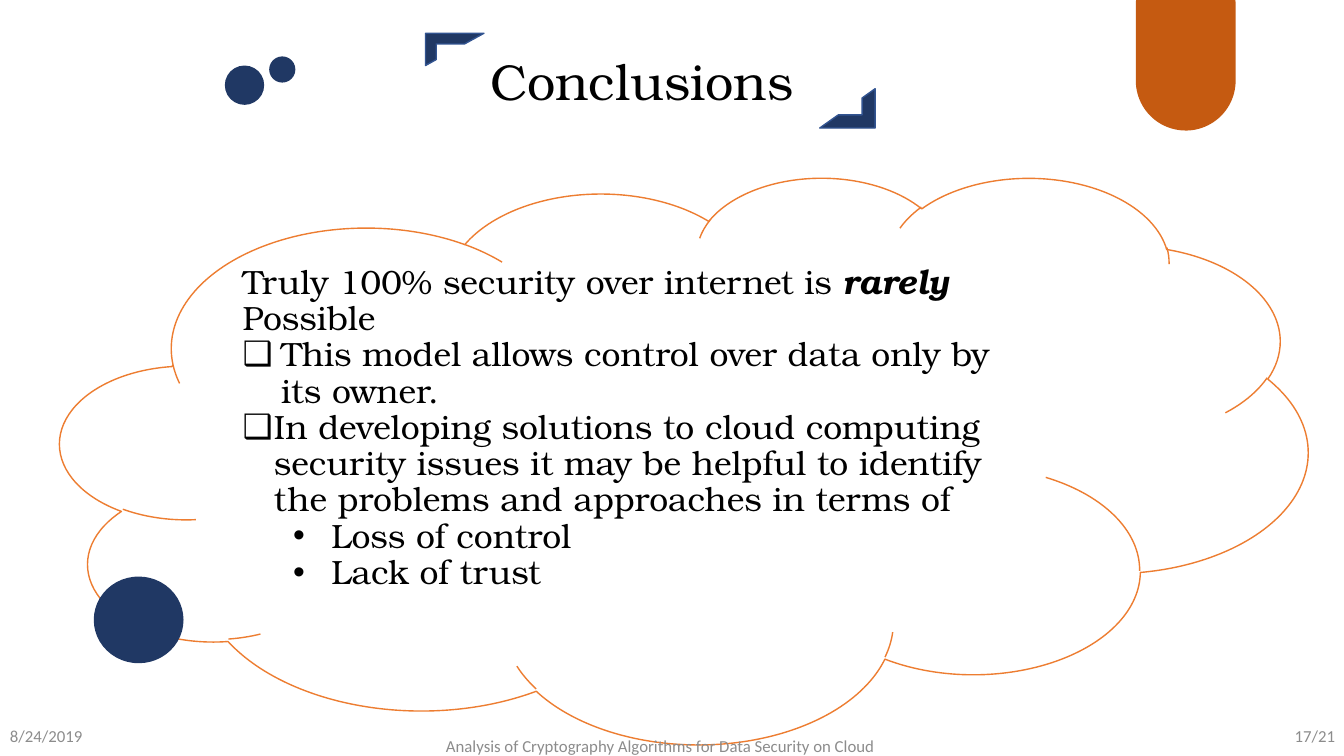
from lxml import etree
from pptx import Presentation
from pptx import util as u
from pptx.dml.color import RGBColor
from pptx.enum import shapes, text
from pptx.oxml.ns import qn

WIDTH, HEIGHT = 13.33, 7.5
SERIF, SANS = "TeX Gyre Bonum", "Calibri"
NAVY, NAVY_EDGE, ORANGE, RUST = "203864", "325491", "ED7D31", "C55A11"
BLACK, GREY, WHITE = "000000", "8C8C8C", "FFFFFF"
LEFT, CENTER, RIGHT = text.PP_ALIGN.LEFT, text.PP_ALIGN.CENTER, text.PP_ALIGN.RIGHT
KIND = shapes.MSO_SHAPE

TITLE = ("Conclusions", (2.87, 0.33, 6.99, 0.94))
CLOUD = (0.6, 1.75, 12.37, 5.62)
CLOUD_TEXT_SHARE = (0.138, 0.148, 0.653, 0.655)

POINTS = [
    (0, None, 0, 0, [("Truly 100% security over internet is ", False),
                     ("rarely", True), (" Possible", False)]),
    (0, "❑", 0.38, 0.38, [("This model allows control over data only by its owner.", False)]),
    (0, "❑", 0.31, 0.31, [("In developing solutions to cloud computing security issues "
                           "it may be helpful to identify the problems and approaches "
                           "in terms of", False)]),
    (1, "•", 0.88, 0.38, [("Loss of control", False)]),
    (1, "•", 0.88, 0.38, [("Lack of trust", False)]),
]

FOOTERS = [
    ("8/24/2019", (0, 7.1, 3, 0.4), LEFT),
    ("Analysis of Cryptography Algorithms for Data Security on Cloud",
     (1.67, 7.2, 9.76, 0.4), CENTER),
    ("17/21", (12.5, 7.1, 0.84, 0.4), RIGHT),
]

ORNAMENTS = [
    (KIND.HALF_FRAME, (4.22, 0.33, 0.58, 0.32), 0, NAVY, NAVY_EDGE),
    (KIND.HALF_FRAME, (8.13, 0.88, 0.55, 0.39), 180, NAVY, NAVY_EDGE),
    (KIND.OVAL, (0.93, 5.72, 0.89, 0.86), 0, NAVY, None),
]
BUBBLES = [(2.23, 0.65, 0.39, 0.39), (2.67, 0.56, 0.26, 0.26)]
RIBBON = (10.89, -0.07, 1.74, 0.99)


def color(value):
    return RGBColor.from_string(value)


def inches(box):
    return [u.Inches(length) for length in box]


def place(shape, box):
    shape.left, shape.top, shape.width, shape.height = inches(box)


def set_font(para, name, size, value):
    para.font.name, para.font.size = name, u.Pt(size)
    para.font.color.rgb = color(value)


def add_shape(parent, kind, box, fill, line=None, rotation=0):
    shape = parent.add_shape(kind, *inches(box))
    shape.shadow.inherit = False
    shape.rotation = rotation
    shape.fill.solid()
    shape.fill.fore_color.rgb = color(fill)
    if line:
        shape.line.color.rgb = color(line)
        shape.line.width = u.Pt(1)
    else:
        shape.line.fill.background()
    return shape


def set_bullet(para, mark, margin, hanging):
    props = para._p.get_or_add_pPr()
    props.set("marL", str(u.Inches(margin)))
    props.set("indent", str(-u.Inches(hanging)))
    if mark:
        font = etree.SubElement(props, qn("a:buFont"))
        font.set("typeface", "Arial")
        etree.SubElement(props, qn("a:buChar")).set("char", mark)
    else:
        etree.SubElement(props, qn("a:buNone"))


def fill_title(title):
    wording, box = TITLE
    place(title, box)
    frame = title.text_frame
    frame.text = wording
    frame.auto_size = text.MSO_AUTO_SIZE.NONE
    frame.vertical_anchor = text.MSO_ANCHOR.MIDDLE
    para = frame.paragraphs[0]
    para.alignment = CENTER
    set_font(para, SERIF, 36, BLACK)


def fill_body(body):
    left, top, width, height = CLOUD
    x, y, across, down = CLOUD_TEXT_SHARE
    place(body, (left + x * width, top + y * height, across * width, down * height))
    frame = body.text_frame
    frame.auto_size = text.MSO_AUTO_SIZE.NONE
    frame.vertical_anchor = text.MSO_ANCHOR.TOP
    for index, (level, mark, margin, hanging, spans) in enumerate(POINTS):
        para = frame.add_paragraph() if index else frame.paragraphs[0]
        para.level = level
        para.alignment = LEFT
        para.line_spacing = 0.9
        para.space_before = para.space_after = u.Pt(0)
        set_bullet(para, mark, margin, hanging)
        set_font(para, SERIF, 24, BLACK)
        for wording, strong in spans:
            span = para.add_run()
            span.text = wording
            if strong:
                span.font.bold = span.font.italic = True


def add_footer(page, wording, box, alignment):
    frame = page.shapes.add_textbox(*inches(box)).text_frame
    frame.word_wrap = True
    frame.vertical_anchor = text.MSO_ANCHOR.MIDDLE
    frame.text = wording
    para = frame.paragraphs[0]
    para.alignment = alignment
    set_font(para, SANS, 12, GREY)


def main():
    deck = Presentation()
    deck.slide_width, deck.slide_height = u.Inches(WIDTH), u.Inches(HEIGHT)
    page = deck.slides.add_slide(deck.slide_layouts[1])
    body = page.placeholders[1]
    fill_title(page.shapes.title)
    fill_body(body)

    cloud = add_shape(page.shapes, KIND.CLOUD, CLOUD, WHITE, ORANGE)
    body.element.addprevious(cloud.element)
    for footer in FOOTERS:
        add_footer(page, *footer)
    for kind, box, rotation, fill, line in ORNAMENTS:
        add_shape(page.shapes, kind, box, fill, line, rotation)
    bubbles = page.shapes.add_group_shape()
    for box in BUBBLES:
        add_shape(bubbles.shapes, KIND.OVAL, box, NAVY)
    ribbon = add_shape(page.shapes, KIND.ROUNDED_RECTANGLE, RIBBON, RUST, rotation=270)
    ribbon.adjustments[0] = 0.5
    deck.save("out.pptx")


if __name__ == "__main__":
    main()
